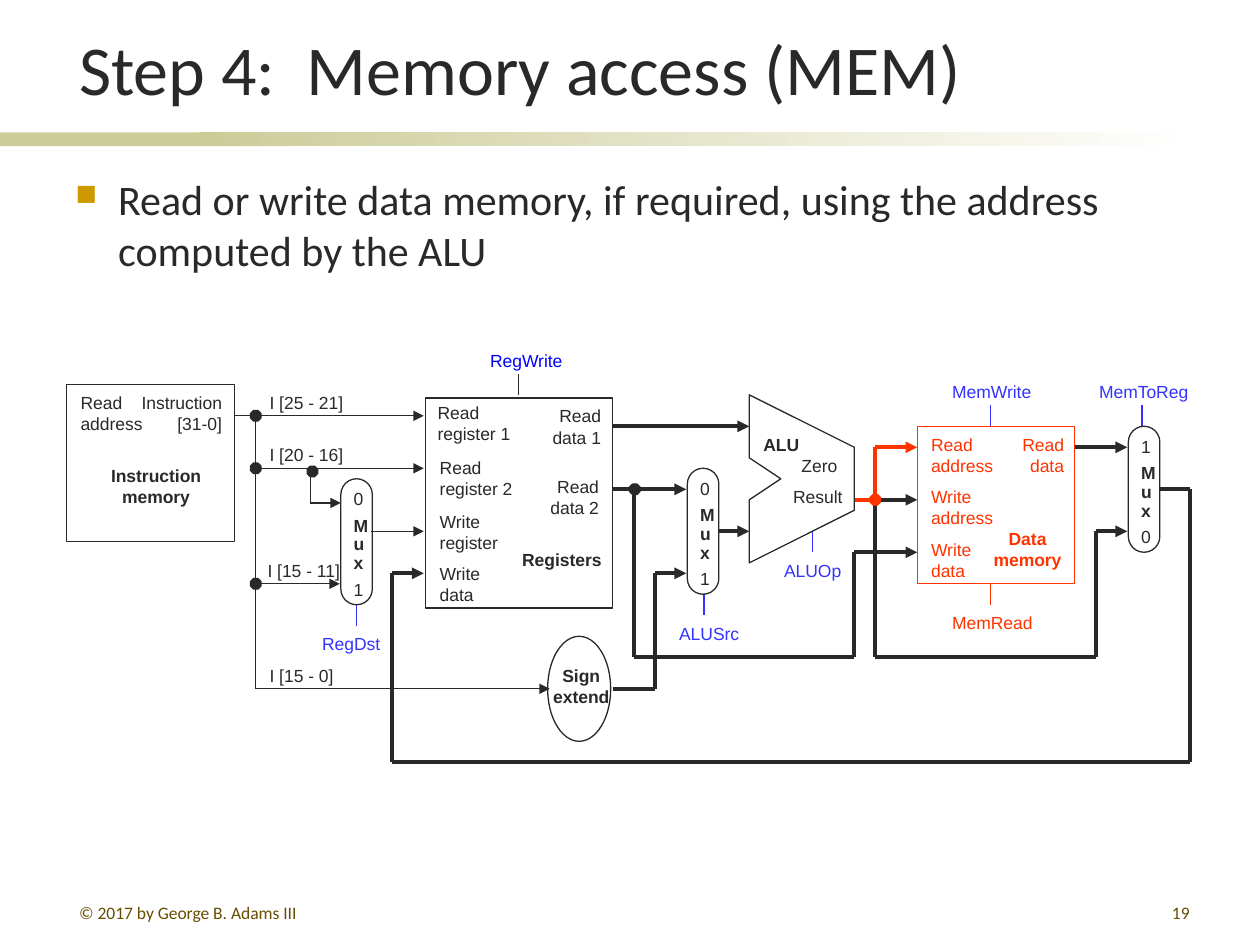
from itertools import pairwise

from lxml.etree import SubElement
from pptx import Presentation
from pptx.dml.color import RGBColor
from pptx.enum.shapes import MSO_CONNECTOR as Connector, MSO_SHAPE as Shape
from pptx.enum.text import MSO_ANCHOR as Anchor, PP_ALIGN as Align
from pptx.oxml.ns import qn
from pptx.util import Inches, Pt

COLORS = {"ink": "292929", "red": "FF3300", "control": "3333FF", "blue": "0000FF",
          "band": "CCCC99", "white": "FFFFFF", "bullet": "CC9900", "footer": "664D00"}
THIN, THICK = 0.75, 2.25


def color(name):
    return RGBColor.from_string(COLORS[name])


class Diagram:
    """Places elements on a grid of twelfths of an inch."""
    left, top, cell = 0.53, 3.05, 1 / 12

    def __init__(self, slide):
        self.slide = slide

    def x(self, column):
        return Inches(self.left + column * self.cell)

    def y(self, row):
        return Inches(self.top + row * self.cell)

    def size(self, cells):
        return Inches(cells * self.cell)

    def style(self, shape, line="ink", fill=None):
        shape.shadow.inherit = False
        if fill:
            shape.fill.solid()
            shape.fill.fore_color.rgb = color(fill)
        else:
            shape.fill.background()
        if line:
            shape.line.color.rgb = color(line)
            shape.line.width = Pt(THIN)
        else:
            shape.line.fill.background()
        return shape

    def block(self, kind, column, row, columns, rows, line="ink", fill=None):
        shape = self.slide.shapes.add_shape(
            kind, self.x(column), self.y(row), self.size(columns), self.size(rows))
        return self.style(shape, line, fill)

    def dot(self, column, row, name="ink"):
        self.block(Shape.OCTAGON, column - 0.5, row - 0.5, 1, 1, name, name)

    def outline(self, points):
        corners = [(self.x(column), self.y(row)) for column, row in points]
        builder = self.slide.shapes.build_freeform(*corners[0])
        builder.add_line_segments(corners[1:], close=True)
        self.style(builder.convert_to_shape())

    def wire(self, points, width=THIN, name="ink", arrow=False):
        for (x1, y1), (x2, y2) in pairwise(points):
            line = self.slide.shapes.add_connector(
                Connector.STRAIGHT, self.x(x1), self.y(y1), self.x(x2), self.y(y2))
            line.line.color.rgb = color(name)
            line.line.width = Pt(width)
            properties = line._element.spPr
            if arrow and (x2, y2) == points[-1]:
                SubElement(properties.find(qn("a:ln")), qn("a:tailEnd"), type="triangle")
            SubElement(properties, qn("a:effectLst"))

    def label(self, text, column, row, columns, name="ink", align=Align.LEFT, bold=False):
        rows = 1.4 + 2 * len(text.split("\n"))
        box = self.slide.shapes.add_textbox(
            self.x(column), self.y(row), self.size(columns), self.size(rows))
        frame = box.text_frame
        frame.word_wrap = False
        frame.margin_left = frame.margin_right = Inches(0.11)
        frame.margin_top = frame.margin_bottom = Inches(0.06)
        self.set_text(frame, text, 10, "Arial", name, align, bold)
        return frame

    def set_text(self, frame, text, size, font, name, align=Align.LEFT, bold=False):
        frame.text = text
        for paragraph in frame.paragraphs:
            paragraph.alignment = align
            for run in paragraph.runs:
                run.font.size, run.font.name, run.font.bold = Pt(size), font, bold
                run.font.color.rgb = color(name)

    def mux(self, column, row, first, last):
        self.block(Shape.ROUNDED_RECTANGLE, column + 0.1, row, 3, 12).adjustments[0] = 0.5
        frame = self.label(f"{first}\nM\nu\nx\n{last}", column, row + 0.2, 4.3)
        paragraphs = frame.paragraphs
        for paragraph in paragraphs[1:4]:
            paragraph.runs[0].font.bold = True
        for paragraph in paragraphs[2:4]:
            paragraph.line_spacing = 0.9
        for paragraph in (paragraphs[1], paragraphs[4]):
            paragraph.space_before = Pt(3)

    def page_text(self, text, left, top, width, height, size, name="ink",
                  align=Align.LEFT, anchor=Anchor.TOP):
        box = self.slide.shapes.add_textbox(*map(Inches, (left, top, width, height)))
        frame = box.text_frame
        frame.word_wrap, frame.vertical_anchor = True, anchor
        self.set_text(frame, text, size, "Calibri", name, align)
        return frame

    def bullet(self, paragraph):
        properties = paragraph._p.get_or_add_pPr()
        properties.set("marL", str(Inches(0.34)))
        properties.set("indent", str(-Inches(0.34)))
        paint = SubElement(properties, qn("a:buClr"))
        SubElement(paint, qn("a:srgbClr"), val=COLORS["bullet"])
        SubElement(properties, qn("a:buSzPct"), val="70000")
        SubElement(properties, qn("a:buChar"), char="■")

    def band(self, left, width, fade=False):
        bar = self.slide.shapes.add_shape(
            Shape.RECTANGLE, *map(Inches, (left, 1.05, width, 0.11)))
        self.style(bar, None, "band")
        if fade:
            bar.fill.gradient()
            bar.fill.gradient_angle = 0
            for stop, name in zip(bar.fill.gradient_stops, ("band", "white")):
                stop.color.rgb = color(name)


presentation = Presentation()
presentation.slide_width, presentation.slide_height = Inches(10), Inches(7.5)
diagram = Diagram(presentation.slides.add_slide(presentation.slide_layouts[6]))

# Title, band, bullet and footer
diagram.band(0, 2.33)
diagram.band(1.58, 7.92, fade=True)
diagram.page_text("Step 4:  Memory access (MEM)", 0.53, 0.14, 9, 0.78, 40, anchor=Anchor.BOTTOM)
body = diagram.page_text("Read or write data memory, if required, using the address "
                         "computed by the ALU", 0.5, 1.33, 9, 1, 24)
body.paragraphs[0].space_before = Pt(4.8)
diagram.bullet(body.paragraphs[0])
diagram.page_text("© 2017 by George B. Adams III", 0.53, 7.11, 2.17, 0.21, 10, "footer")
diagram.page_text("19", 7.46, 7.11, 2.08, 0.21, 10, "footer", Align.RIGHT)

# Thin wires: instruction fields
diagram.wire([(18, 3), (18, 29), (46, 29)], arrow=True)
for start, end, row in [(16, 34, 3), (18, 34, 8), (18, 26, 19), (29, 34, 14)]:
    diagram.wire([(start, row), (end, row)], arrow=True)
diagram.wire([(23.2, 8.3), (23.2, 11.3), (26.1, 11.3)], arrow=True)

# Thick wires: data paths
for points in [
    [(52, 4), (65, 4)],
    [(52, 10), (59, 10)],
    [(54, 10), (54, 26), (75, 26), (75, 16), (81, 16)],
    [(52, 29), (56, 29), (56, 18), (59, 18)],
    [(62, 14), (65, 14)],
    [(77, 11), (81, 11)],
    [(77, 11), (77, 26), (98, 26), (98, 14), (101, 14)],
    [(96, 6), (101, 6)],
    [(104, 10), (107, 10), (107, 36), (31, 36), (31, 18), (34, 18)],
]:
    diagram.wire(points, THICK, arrow=True)
diagram.wire([(75, 11), (77, 11), (77, 6), (81, 6)], THICK, "red", arrow=True)

# Control lines
for column, row, name in [(43, -1, "ink"), (27.6, 21, "control"), (60.7, 20, "control"),
                          (71, 14, "control"), (88, 2, "control"), (88, 19, "red"),
                          (102.4, 2, "control")]:
    diagram.wire([(column, row), (column, row + 2)], name=name)

# Units and junctions
diagram.block(Shape.RECTANGLE, 0, 0, 16, 15)
diagram.block(Shape.RECTANGLE, 34.2, 1.3, 17.8, 20)
diagram.block(Shape.RECTANGLE, 81, 4, 15, 15, "red")
diagram.block(Shape.OVAL, 45.8, 24, 6, 10)
diagram.outline([(65, 1), (75, 6), (75, 12), (65, 17), (65, 11), (68, 9), (65, 7)])
for column, row in [(18, 3), (18, 8), (18, 19), (23.4, 8.3), (54.1, 10)]:
    diagram.dot(column, row)
diagram.dot(77, 11, "red")
for column, row, first, last in [(26, 9, 0, 1), (59, 8, 0, 1), (101, 4, 1, 0)]:
    diagram.mux(column, row, first, last)

# Port and field labels
for text, column, row, columns, name in [
    ("Read\naddress", 0, 0, 8.6, "ink"),
    ("I [25 - 21]", 18, 0, 9.8, "ink"), ("I [20 - 16]", 18, 5, 9.8, "ink"),
    ("I [15 - 11]", 17.8, 16, 9.7, "ink"), ("I [15 - 0]", 18, 26, 8.9, "ink"),
    ("Read\nregister 1", 34, 1, 9.7, "ink"), ("Read\nregister 2", 34.2, 6.2, 9.7, "ink"),
    ("Write\nregister", 34.2, 11.3, 8.3, "ink"), ("Write\ndata", 34.2, 16.3, 6.6, "ink"),
    ("Read\naddress", 81, 4, 8.6, "red"), ("Write\naddress", 81, 9, 8.6, "red"),
    ("Write\ndata", 81, 14, 6.6, "red"), ("MemRead", 83, 21, 10.4, "red"),
    ("RegWrite", 39, -4, 9.7, "blue"), ("RegDst", 23, 23, 8.4, "control"),
    ("ALUSrc", 57, 22, 8.5, "control"), ("ALUOp", 67, 16, 8.2, "control"),
    ("MemWrite", 83, -1, 10.3, "control"), ("MemToReg", 97, -1, 11.3, "control"),
]:
    diagram.label(text, column, row, columns, name)
for text, column, row, columns, name in [
    ("Instruction\n[31-0]", 5.5, 0, 10.6, "ink"),
    ("Read\ndata 1", 44.8, 1.3, 7.4, "ink"), ("Read\ndata 2", 44.6, 8, 7.4, "ink"),
    ("Zero", 68.6, 6, 6.1, "ink"), ("Result", 67.6, 9, 7.6, "ink"),
    ("Read\ndata", 89.5, 4, 6.8, "red"),
]:
    diagram.label(text, column, row, columns, name, Align.RIGHT)

# Unit names
for text, column, row, columns, name in [
    ("Instruction\nmemory", 2.8, 7, 11.4, "ink"), ("Registers", 42, 15, 10.3, "ink"),
    ("Sign\nextend", 44.9, 26, 8.2, "ink"), ("ALU", 65, 4, 6.1, "ink"),
    ("Data\nmemory", 86.9, 13, 9.2, "red"),
]:
    diagram.label(text, column, row, columns, name, Align.CENTER, bold=True)

presentation.save("out.pptx")
